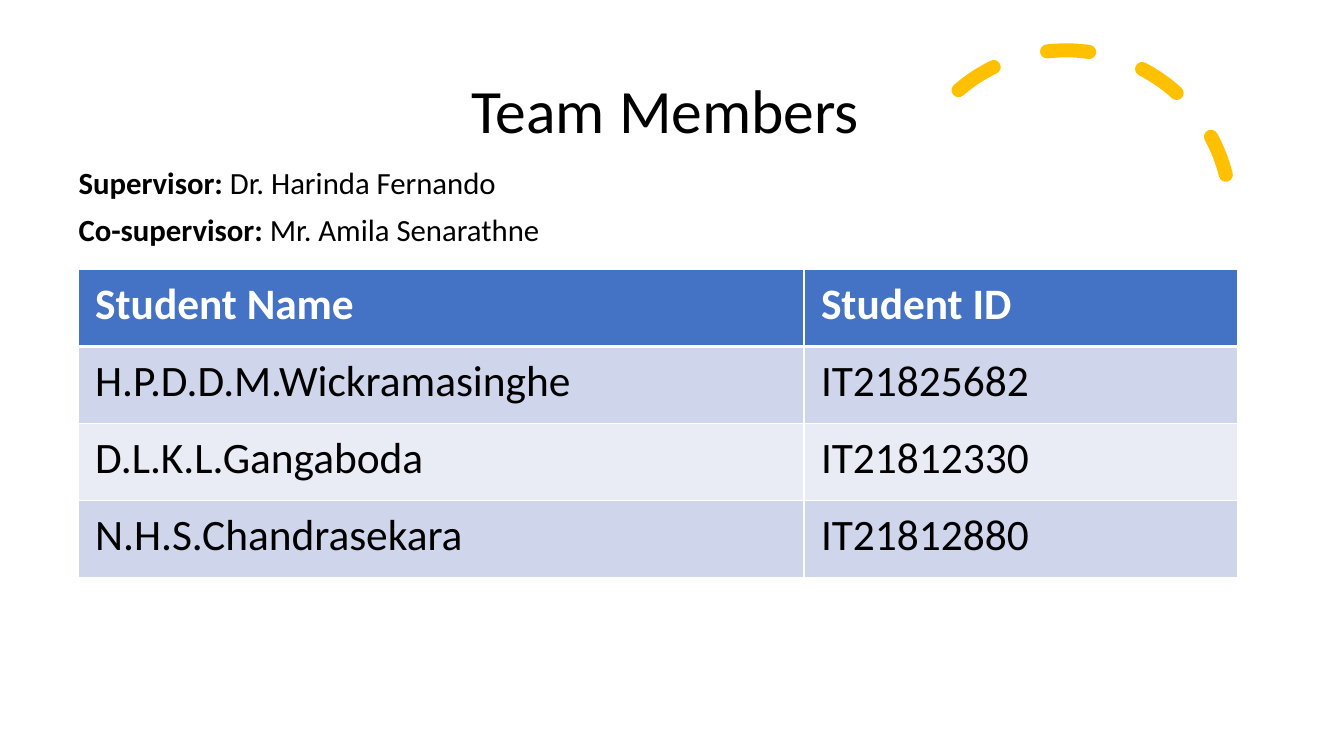
from dataclasses import dataclass

from lxml import etree
from pptx import Presentation
from pptx.dml.color import RGBColor
from pptx.enum.dml import MSO_LINE
from pptx.enum.shapes import MSO_SHAPE
from pptx.enum.text import MSO_ANCHOR, PP_ALIGN
from pptx.oxml.ns import qn
from pptx.util import Cm, Pt

ARC = MSO_SHAPE.ARC
DASH = MSO_LINE.DASH
MIDDLE = MSO_ANCHOR.MIDDLE
CENTER = PP_ALIGN.CENTER
FONT = "Calibri"
BLACK = "000000"
WHITE = "FFFFFF"
GOLD = "FFC000"
HEADER_BLUE = "4472C4"
BANDS = ("CFD5EA", "E9EBF5")
ROW_HEIGHT = 1.94
COLUMN_WIDTHS = (18.29, 10.92)
HEADINGS = ("Student Name", "Student ID")


@dataclass(frozen=True)
class Advisor:
    role: str
    name: str


@dataclass(frozen=True)
class Student:
    name: str
    number: str


ADVISORS = (
    Advisor("Supervisor: ", "Dr. Harinda Fernando"),
    Advisor("Co-supervisor: ", "Mr. Amila Senarathne"),
)
STUDENTS = (
    Student("H.P.D.D.M.Wickramasinghe", "IT21825682"),
    Student("D.L.K.L.Gangaboda", "IT21812330"),
    Student("N.H.S.Chandrasekara", "IT21812880"),
)


def color(value: str) -> RGBColor:
    return RGBColor.from_string(value)


def style(paragraph, size: float, ink: str = BLACK) -> None:
    paragraph.font.name = FONT
    paragraph.font.size = Pt(size)
    paragraph.font.color.rgb = color(ink)


def draw_arc(slide) -> None:
    arc = slide.shapes.add_shape(ARC, Cm(22.71), Cm(1.27), Cm(8.31), Cm(8.31))
    arc.shadow.inherit = False
    arc.rotation = 345.8
    arc.adjustments[0] = 146.13
    arc.adjustments[1] = 0
    arc.fill.background()
    arc.line.color.rgb = color(GOLD)
    arc.line.width = Pt(10)
    arc.line.dash_style = DASH
    arc.line._get_or_add_ln().set("cap", "rnd")


def draw_title(slide) -> None:
    title = slide.shapes.add_textbox(Cm(2.34), Cm(1.02), Cm(29.21), Cm(3.68)).text_frame
    title.word_wrap = True
    title.vertical_anchor = MIDDLE
    heading = title.paragraphs[0]
    heading.text = "Team Members "
    heading.alignment = CENTER
    heading.line_spacing = 0.9
    style(heading, 44)


def draw_advisors(slide) -> None:
    frame = slide.shapes.add_textbox(Cm(1.73), Cm(4.11), Cm(13.69), Cm(2.3)).text_frame
    frame.word_wrap = True
    for index, advisor in enumerate(ADVISORS):
        line = frame.add_paragraph() if index else frame.paragraphs[0]
        line.line_spacing = 0.9
        if index:
            line.space_before = Pt(10)
        role = line.add_run()
        role.text = advisor.role
        role.font.bold = True
        line.add_run().text = advisor.name
        style(line, 22)


def set_borders(cell, top: float, bottom: float) -> None:
    properties = cell._tc.get_or_add_tcPr()
    sides = (("a:lnL", 1), ("a:lnR", 1), ("a:lnT", top), ("a:lnB", bottom))
    for index, (side, width) in enumerate(sides):
        border = etree.Element(qn(side), w=str(Pt(width)))
        fill = etree.SubElement(border, qn("a:solidFill"))
        etree.SubElement(fill, qn("a:srgbClr"), val=WHITE)
        properties.insert(index, border)


def draw_students(slide) -> None:
    rows = [HEADINGS] + [(student.name, student.number) for student in STUDENTS]
    roster = slide.shapes.add_table(
        len(rows), len(HEADINGS), Cm(1.97), Cm(6.79),
        Cm(sum(COLUMN_WIDTHS)), Cm(ROW_HEIGHT * len(rows)),
    ).table
    for column, width in zip(roster.columns, COLUMN_WIDTHS):
        column.width = Cm(width)
    for row_index, entries in enumerate(rows):
        is_header = row_index == 0
        roster.rows[row_index].height = Cm(ROW_HEIGHT)
        for column_index, entry in enumerate(entries):
            cell = roster.cell(row_index, column_index)
            cell.margin_left = cell.margin_right = Cm(0.43)
            cell.margin_top = cell.margin_bottom = Cm(0.22)
            cell.fill.solid()
            cell.fill.fore_color.rgb = color(
                HEADER_BLUE if is_header else BANDS[(row_index - 1) % len(BANDS)]
            )
            set_borders(cell, 3 if row_index == 1 else 1, 3 if is_header else 1)
            paragraph = cell.text_frame.paragraphs[0]
            paragraph.text = entry
            style(paragraph, 31, WHITE if is_header else BLACK)
            paragraph.font.bold = is_header


def main() -> None:
    presentation = Presentation()
    presentation.slide_width = Cm(33.87)
    presentation.slide_height = Cm(19.05)
    slide = presentation.slides.add_slide(presentation.slide_layouts[6])
    draw_arc(slide)
    draw_title(slide)
    draw_advisors(slide)
    draw_students(slide)
    presentation.save("out.pptx")


if __name__ == "__main__":
    main()
